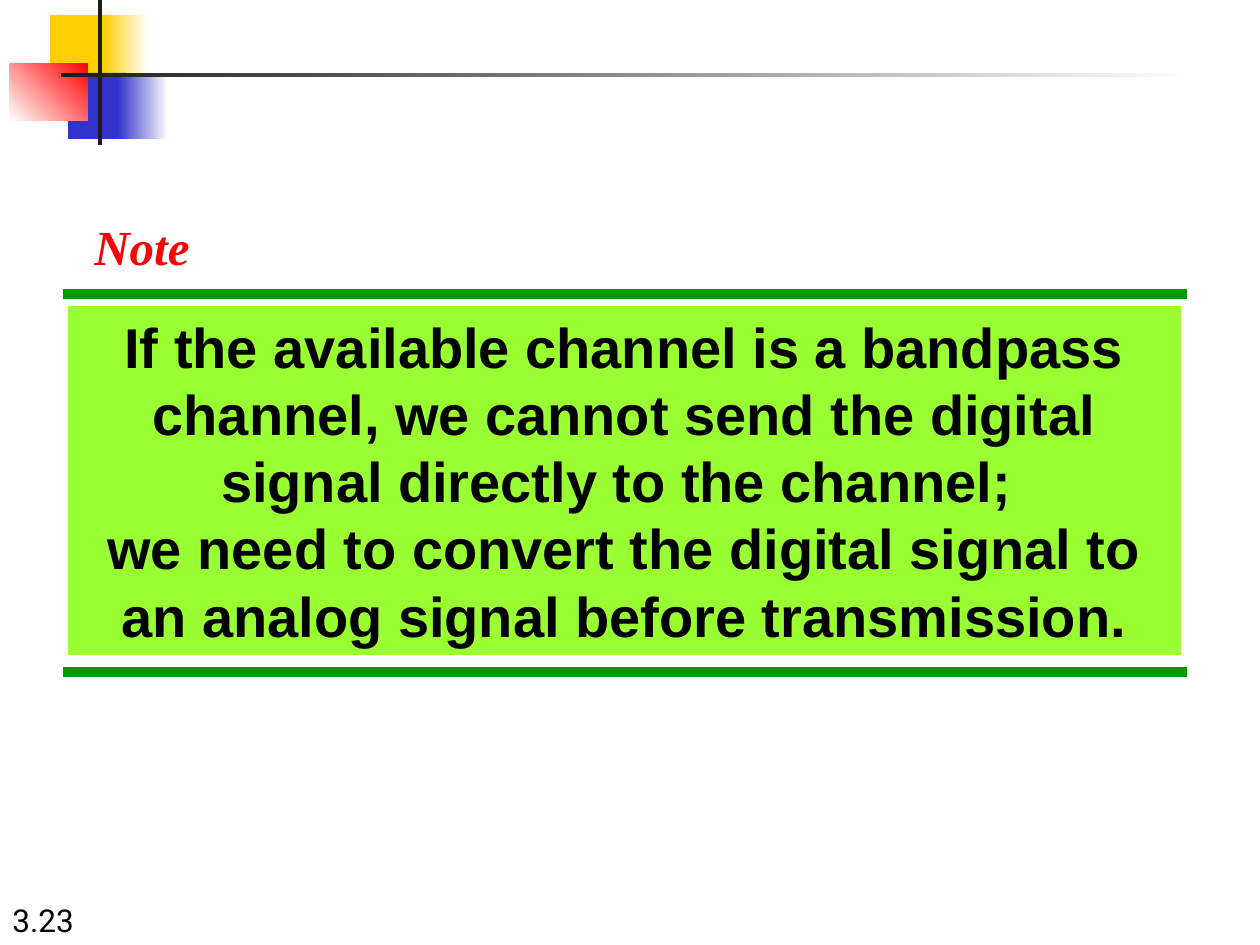
from dataclasses import dataclass

from lxml.etree import SubElement
from pptx import Presentation
from pptx.dml.color import RGBColor as RGB
from pptx.enum.shapes import MSO_CONNECTOR as CONN, MSO_SHAPE as SHAPE
from pptx.enum.text import MSO_ANCHOR as ANCHOR, MSO_AUTO_SIZE as AUTO, PP_ALIGN as ALIGN
from pptx.oxml.ns import qn
from pptx.util import Emu, Pt

PX = 914400 / 126


@dataclass(frozen=True)
class Theme:
    yellow: str = "FFCF01"
    blue: str = "3333CC"
    red: str = "FF0000"
    dark: str = "1C1C1C"
    white: str = "FFFFFF"
    black: str = "000000"
    rule: str = "009900"
    panel: str = "99FF33"
    rule_width: int = 6
    body_size: int = 32
    note_size: int = 28
    number_size: int = 18


T = Theme()


def px(*lengths):
    return [Emu(round(n * PX)) for n in lengths]


def add_rect(slide, x, y, w, h, color, end=None, angle=0):
    sp = slide.shapes.add_shape(SHAPE.RECTANGLE, *px(x, y, w, h))
    sp.shadow.inherit = False
    sp.line.fill.background()
    if end is None:
        sp.fill.solid()
        sp.fill.fore_color.rgb = RGB.from_string(color)
    else:
        sp.fill.gradient()
        sp.fill.gradient_angle = angle
        for stop, (pos, c) in zip(sp.fill.gradient_stops, ((0, color), (1, end))):
            stop.position = pos
            stop.color.rgb = RGB.from_string(c)
    return sp


def add_rule(slide, x, y, w):
    line = slide.shapes.add_connector(CONN.STRAIGHT, *px(x, y, x + w, y))
    line.line.color.rgb = RGB.from_string(T.rule)
    line.line.width = Pt(T.rule_width)
    SubElement(line._element.spPr, qn("a:effectLst"))


def write(sp, text, font, size, color, bold=False, italic=False,
          align=ALIGN.LEFT, anchor=ANCHOR.TOP, wrap=True):
    tf = sp.text_frame
    tf.word_wrap = wrap
    tf.vertical_anchor = anchor
    p = tf.paragraphs[0]
    p.text = text
    p.alignment = align
    f = p.font
    f.name, f.size, f.bold, f.italic = font, Pt(size), bold, italic
    f.color.rgb = RGB.from_string(color)
    return tf


def add_ornament(slide, x, y, w, h):
    add_rect(slide, x + 40, y + 15, 61, 66, T.yellow)
    add_rect(slide, x + 93, y + 15, 45, 66, T.yellow, T.white)
    add_rect(slide, x + 58, y + 73, 58, 66, T.blue)
    add_rect(slide, x + 108, y + 73, 50, 66, T.blue, T.white)
    add_rect(slide, x, y + 63, 78, 58, T.white, T.red, 45)
    add_rect(slide, x + 88, y, 4, h, T.dark)
    add_rect(slide, x + 51, y + 73, w - 51, 4, T.dark, T.white)


def add_note(slide, x, y, w, h):
    label = slide.shapes.add_textbox(*px(x + 19, y, 120, 72))
    tf = write(label, "Note", "Times New Roman", T.note_size, T.red,
               bold=True, italic=True, wrap=False)
    tf.auto_size = AUTO.SHAPE_TO_FIT_TEXT

    for rule_y in (y + 84, y + h):
        add_rule(slide, x, rule_y, w)

    panel = add_rect(slide, x + 5, y + 96, w - 11, 349, T.panel)
    tf = write(panel,
               "If the available channel is a bandpass channel, we cannot send "
               "the digital signal directly to the channel; \v"
               "we need to convert the digital signal to an analog signal "
               "before transmission.",
               "Arial", T.body_size, T.black, bold=True, align=ALIGN.CENTER)
    tf.auto_size = AUTO.SHAPE_TO_FIT_TEXT


def add_number(slide, x, y, w, h):
    box = slide.shapes.add_textbox(*px(x, y, w, h))
    write(box, "3.23", "Roboto", T.number_size, T.black, anchor=ANCHOR.BOTTOM)


def main():
    prs = Presentation()
    prs.slide_width, prs.slide_height = px(1260, 945)
    slide = prs.slides.add_slide(prs.slide_layouts[6])
    add_number(slide, 0, 882, 262, 63)
    add_ornament(slide, 10, 0, 1185, 145)
    add_note(slide, 63, 210, 1124, 462)
    prs.save("out.pptx")


if __name__ == "__main__":
    main()
